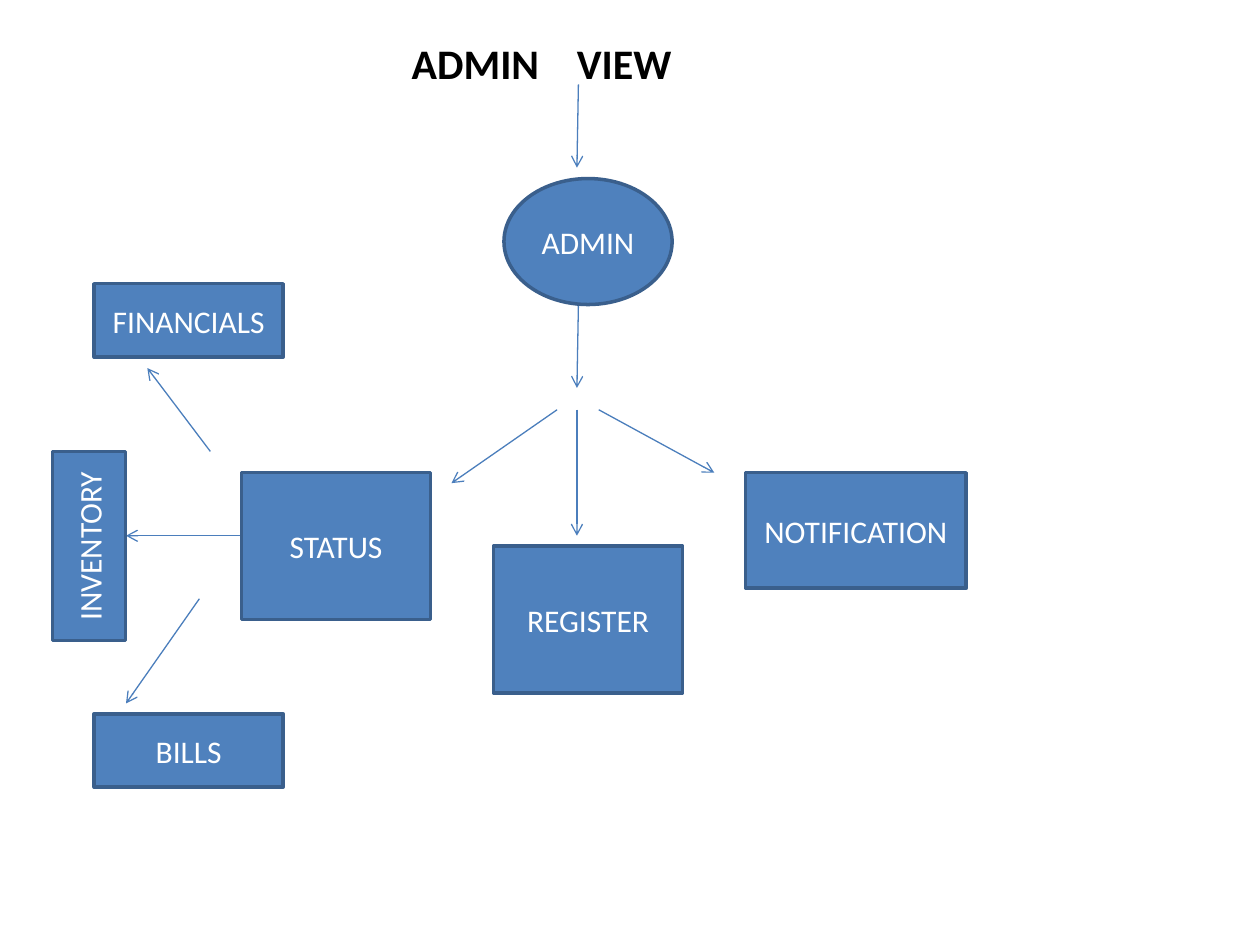
from lxml import etree
from pptx import Presentation
from pptx import util as u
from pptx.dml.color import RGBColor
from pptx.enum import shapes, text
from pptx.oxml.ns import qn

BLUE = RGBColor(0x4F, 0x81, 0xBD)
DARK_BLUE = RGBColor(0x3A, 0x5F, 0x8C)
ARROW_BLUE = RGBColor(0x4B, 0x7E, 0xBC)
WHITE = RGBColor(0xFF, 0xFF, 0xFF)
BLACK = RGBColor(0x00, 0x00, 0x00)


def write(shape, content, size=18, color=WHITE, bold=False,
          align=text.PP_ALIGN.CENTER, anchor=text.MSO_ANCHOR.MIDDLE):
    shape.text_frame.word_wrap = True
    shape.text_frame.vertical_anchor = anchor
    paragraph = shape.text_frame.paragraphs[0]
    paragraph.alignment = align
    run = paragraph.add_run()
    run.text = content
    run.font.name = "Calibri"
    run.font.size = u.Pt(size)
    run.font.bold = bold
    run.font.color.rgb = color
    return paragraph


presentation = Presentation()
presentation.slide_width = u.Cm(25.4)
presentation.slide_height = u.Cm(19.05)
slide = presentation.slides.add_slide(presentation.slide_layouts[6])

# Arrows: start x, start y, end x, end y
arrows = [
    (11.66, 1.7, 11.63, 3.38),    # title to admin
    (11.66, 6.15, 11.63, 7.82),   # admin to branching point
    (11.23, 8.26, 9.1, 9.74),     # branch to status
    (11.63, 8.26, 11.63, 10.8),   # branch to register
    (12.07, 8.26, 14.4, 9.53),    # branch to notification
    (4.24, 9.1, 2.97, 7.42),      # status to financials
    (4.88, 10.8, 2.54, 10.8),     # status to inventory
    (4.02, 12.07, 2.54, 14.18),   # status to bills
]
for ends in arrows:
    arrow = slide.shapes.add_connector(
        shapes.MSO_CONNECTOR.STRAIGHT, *(u.Cm(value) for value in ends))
    arrow.line.color.rgb = ARROW_BLUE
    arrow.line.width = u.Pt(0.75)
    etree.SubElement(arrow.line._get_or_add_ln(), qn("a:tailEnd"), type="arrow")
    etree.SubElement(arrow._element.spPr, qn("a:effectLst"))

# Nodes: label, outline, left, top, width, height, rotation
OVAL = shapes.MSO_SHAPE.OVAL
BOX = shapes.MSO_SHAPE.RECTANGLE
nodes = [
    ("ADMIN", OVAL, 10.16, 3.6, 3.39, 2.54, 0),
    ("REGISTER", BOX, 9.95, 11.01, 3.81, 2.96, 0),
    ("NOTIFICATION", BOX, 15.03, 9.53, 4.45, 2.33, 0),
    ("STATUS", BOX, 4.87, 9.53, 3.81, 2.96, 0),
    ("FINANCIALS", BOX, 1.9, 5.72, 3.81, 1.48, 0),
    ("INVENTORY", BOX, -0.11, 10.27, 3.81, 1.48, 270),
    ("BILLS", BOX, 1.9, 14.39, 3.81, 1.48, 0),
]
for label, outline, left, top, width, height, rotation in nodes:
    node = slide.shapes.add_shape(
        outline, u.Cm(left), u.Cm(top), u.Cm(width), u.Cm(height))
    node.rotation = rotation
    node.shadow.inherit = False
    node.fill.solid()
    node.fill.fore_color.rgb = BLUE
    node.line.color.rgb = DARK_BLUE
    node.line.width = u.Pt(2)
    write(node, label)

# Title, its two words set apart by a tab stop
title = slide.shapes.add_textbox(u.Cm(8.05), u.Cm(0.64), u.Cm(6.78), u.Cm(1.28))
paragraph = write(title, "ADMIN\tVIEW", size=24, color=BLACK, bold=True,
                  align=text.PP_ALIGN.LEFT, anchor=text.MSO_ANCHOR.TOP)
tab_stops = etree.SubElement(paragraph._p.get_or_add_pPr(), qn("a:tabLst"))
etree.SubElement(tab_stops, qn("a:tab"), pos=str(u.Cm(3.33)), algn="l")

presentation.save("out.pptx")
